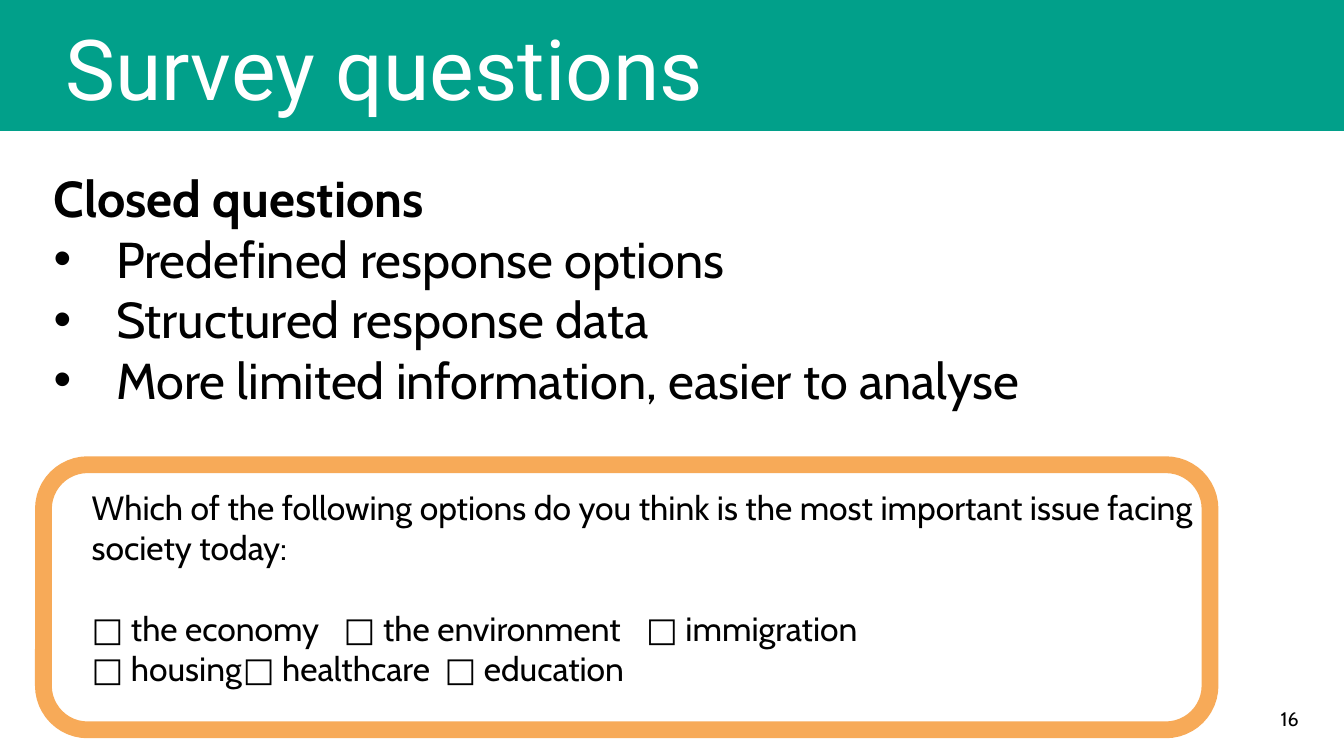
from pptx import Presentation
from pptx.dml.color import RGBColor
from pptx.enum.shapes import MSO_SHAPE
from pptx.enum.text import MSO_ANCHOR, MSO_AUTO_SIZE, PP_ALIGN
from pptx.oxml.ns import qn
from pptx.util import Inches, Pt
from lxml import etree

RECT, ROUND = MSO_SHAPE.RECTANGLE, MSO_SHAPE.ROUNDED_RECTANGLE
LEFT, RIGHT = PP_ALIGN.LEFT, PP_ALIGN.RIGHT
TOP, MIDDLE = MSO_ANCHOR.TOP, MSO_ANCHOR.MIDDLE
NO_FIT = MSO_AUTO_SIZE.NONE

COLORS = {"teal": "01A08A", "orange": "F7AA58", "white": "FFFFFF", "black": "000000"}
HEADING, TEXT = "Roboto", "Cabin"


class Deck:
    """Holds the style and the current slide; places are percent of its size."""

    def __init__(self, width, height):
        self.prs = Presentation()
        self.prs.slide_width, self.prs.slide_height = Inches(width), Inches(height)
        self.s = self.prs.slides.add_slide(self.prs.slide_layouts[1])

    def box(self, x, y, w, h):
        pw, ph = self.prs.slide_width / 100, self.prs.slide_height / 100
        return int(x * pw), int(y * ph), int(w * pw), int(h * ph)

    def color(self, name):
        return RGBColor.from_string(COLORS[name])

    def shape(self, kind, place, fill, line, width, opacity=100):
        sp = self.s.shapes.add_shape(kind, *self.box(*place))
        sp.shadow.inherit = False
        sp.fill.solid()
        sp.fill.fore_color.rgb = self.color(fill)
        sp.line.color.rgb = self.color(line)
        sp.line.width = Pt(width)
        if opacity < 100:
            clr = sp._element.spPr.find(qn("a:solidFill"))[0]
            etree.SubElement(clr, qn("a:alpha"), val=str(opacity * 1000))
        return sp

    def frame(self, sp, anchor=TOP):
        tf = sp.text_frame
        for name, value in {"word_wrap": True, "auto_size": NO_FIT,
                            "vertical_anchor": anchor}.items():
            setattr(tf, name, value)
        return tf

    def paragraph(self, tf, text, size, font=TEXT, color="black", bold=False,
                  align=LEFT, spacing=1.0, before=0, indent=0, bullet=None, tabs=()):
        p = tf.paragraphs[0] if not tf.text else tf.add_paragraph()
        formats = {"alignment": align, "line_spacing": spacing,
                   "space_before": Pt(before), "space_after": Pt(0)}
        for name, value in formats.items():
            setattr(p, name, value)
        pPr = p._p.get_or_add_pPr()
        pPr.set("marL", str(Inches(indent)))
        pPr.set("indent", str(-Inches(indent)))
        if bullet:
            etree.SubElement(pPr, qn("a:buFont"), typeface="Arial")
            etree.SubElement(pPr, qn("a:buChar"), char=bullet)
        else:
            etree.SubElement(pPr, qn("a:buNone"))
        if tabs:
            tab_list = etree.SubElement(pPr, qn("a:tabLst"))
            for pos in tabs:
                etree.SubElement(tab_list, qn("a:tab"), pos=str(Inches(pos)), algn="l")
        r = p.add_run()
        r.text = text
        for name, value in {"name": font, "size": Pt(size), "bold": bold}.items():
            setattr(r.font, name, value)
        r.font.color.rgb = self.color(color)

    def placeholder(self, idx, place, anchor=TOP):
        sp = self.s.placeholders[idx]
        sp.left, sp.top, sp.width, sp.height = self.box(*place)
        return self.frame(sp, anchor)

    def textbox(self, place):
        return self.frame(self.s.shapes.add_textbox(*self.box(*place)))


def main():
    deck = Deck(13.33, 7.5)

    # Title on its band, with the band behind the placeholders
    band = deck.shape(RECT, (0, -0.13, 100, 17.33), "teal", "teal", 1)
    deck.s.shapes._spTree.insert(2, band._element)
    tf = deck.placeholder(0, (4.13, 1.33, 95.87, 16.8), MIDDLE)
    deck.paragraph(tf, "Survey questions", 60, HEADING, "white", spacing=0.9)

    # Slide number
    tf = deck.textbox((76.22, 92.8, 21.16, 5.33))
    deck.paragraph(tf, "16", 14, align=RIGHT)

    # Main points
    tf = deck.placeholder(1, (3.23, 21.47, 87.85, 33.6))
    deck.paragraph(tf, "Closed questions", 36, bold=True)
    for point in ("Predefined response options", "Structured response data",
                  "More limited information, easier to analyse"):
        deck.paragraph(tf, point, 36, indent=0.62, bullet="•")

    # Sample question with answer boxes in three columns
    deck.shape(ROUND, (3.23, 61.47, 86.8, 35.07), "white", "orange", 12, opacity=90)
    tf = deck.textbox((6.08, 63.73, 85, 36.27))
    deck.paragraph(tf, "Which of the following options do you think is the most "
                       "important issue facing society today:", 24)
    answers = [("the economy", "the environment", "immigration"),
               ("housing", "healthcare", "education")]
    for i, row in enumerate(answers):
        deck.paragraph(tf, "\t".join(f"□ {answer}" for answer in row), 24,
                       before=0 if i else 29, tabs=(3.08, 7.08))

    deck.prs.save("out.pptx")


if __name__ == "__main__":
    main()
